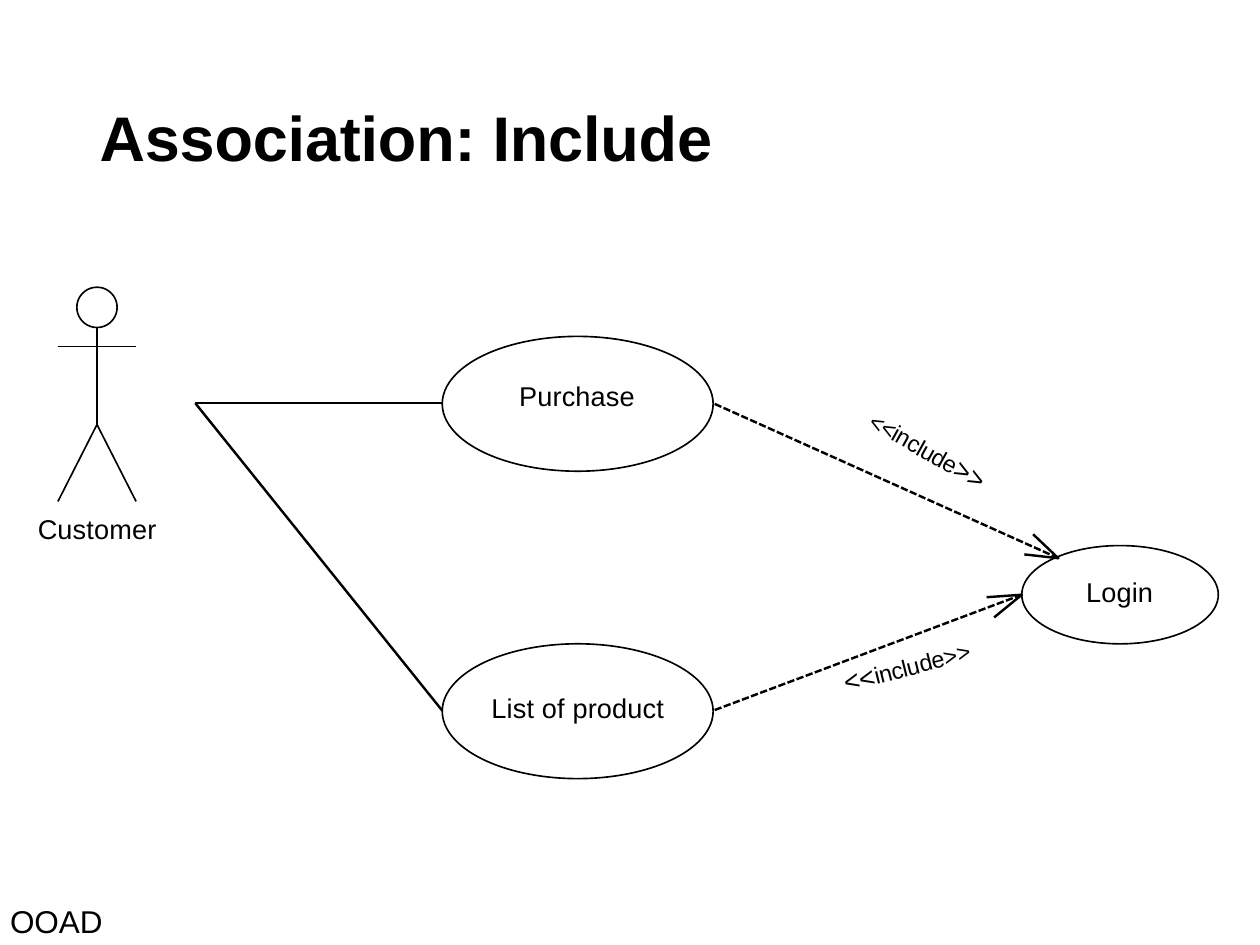
import math
import pptx
import pptx.util
import pptx.dml.color
import pptx.enum.dml
import pptx.enum.shapes
import pptx.enum.text
import pptx.oxml.ns
import lxml.etree

Inches, Pt = pptx.util.Inches, pptx.util.Pt

THEME = {
    "font": "Arial",
    "ink": pptx.dml.color.RGBColor(0, 0, 0),
    "paper": pptx.dml.color.RGBColor(255, 255, 255),
    "title": 36, "label": 15.5, "raised": 23.2, "footer": 18,
    "thin": 0.94, "thick": 1.4, "include_leading": 15.6,
}

TITLE = ("Association: Include", (0.79, 0.78, 4.92, 0.63))

LABELS = [
    ("Login", (8.62, 4.57, 0.56, 0.29), "label", 0.1),
    ("Customer", (0.3, 4.07, 0.97, 0.29), "label", 0.1),
    ("Purchase", (4.12, 3.01, 0.95, 0.29), "label", 0.1),
    ("List of product", (3.9, 5.49, 1.39, 0.29), "label", 0.1),
    ("OOAD", (0.08, 7.16, 0.77, 0.31), "footer", 0),
]

INCLUDES = [
    ((6.82, 3.55, 1.22, 0.22), 29,
     [("<<in", "raised", -0.4, 4), ("clude", "raised", -0.4, 2),
      (">>", "label", -0.2, 0)]),
    ((6.69, 5.2, 1.22, 0.22), 346,
     [("<<", "label", -0.2, 0), ("inclu", "raised", -0.3, 2),
      ("de>", "raised", -0.3, 4), (">", "raised", -0.3, 5)]),
]

PURCHASE = (3.51, 2.67, 2.15, 1.07)
PRODUCTS = (3.51, 5.11, 2.15, 1.07)
LOGIN = (8.11, 4.33, 1.56, 0.78)
OVALS = [PURCHASE, PRODUCTS, LOGIN]

ACTOR_PORT, LOGIN_TOP, LOGIN_LEFT = (1.55, 3.2), (8.4, 4.43), (8.11, 4.72)
HEAD_CENTER, HEAD_RADIUS, HEAD_STEPS = (0.77, 2.44), 0.16, 40
NECK, HIP = (0.77, 2.6), (0.77, 3.37)
BODY = [
    [(0.46, 2.75), (1.08, 2.75)],
    [HIP, (1.08, 3.98)],
    [NECK, HIP, (0.46, 3.98)],
]

LINES = [
    (ACTOR_PORT, (3.51, 3.2), False),
    (ACTOR_PORT, (3.51, 5.64), False),
    (LOGIN_TOP, (5.66, 3.2), True),
    (LOGIN_LEFT, (5.66, 5.64), True),
]

ARROWHEADS = [
    [(8.13, 4.4), LOGIN_TOP, (8.2, 4.24)],
    [(7.89, 4.9), LOGIN_LEFT, (7.83, 4.74)],
]


def outline(sp, weight):
    sp.line.color.rgb = THEME["ink"]
    sp.line.width = Pt(THEME[weight])


def frame(sp):
    tf = sp.text_frame
    tf.margin_left = tf.margin_top = tf.margin_right = tf.margin_bottom = 0
    tf.vertical_anchor = pptx.enum.text.MSO_ANCHOR.TOP
    tf.word_wrap = False
    p = tf.paragraphs[0]
    p.alignment = pptx.enum.text.PP_ALIGN.LEFT
    p.font.name = THEME["font"]
    p.font.color.rgb = THEME["ink"]
    return p


def add_run(p, text, size, spacing, raise_by=0):
    r = p.add_run()
    r.text = text
    r.font.size = Pt(THEME[size])
    r._r.get_or_add_rPr().set("spc", str(round(spacing * 100)))
    if raise_by:
        r._r.get_or_add_rPr().set("baseline", str(raise_by * 1000))


def add_title(slide, text, box):
    sp = slide.shapes.title
    sp.left, sp.top, sp.width, sp.height = map(Inches, box)
    p = frame(sp)
    p.font.bold = True
    add_run(p, text, "title", -0.1)


def add_label(slide, text, box, size, spacing):
    sp = slide.shapes.add_textbox(*map(Inches, box))
    add_run(frame(sp), text, size, spacing)


def add_include(slide, box, angle, runs):
    sp = slide.shapes.add_textbox(*map(Inches, box))
    sp.rotation = angle
    p = frame(sp)
    p.line_spacing = Pt(THEME["include_leading"])
    for run in runs:
        add_run(p, *run)


def add_oval(slide, box):
    sp = slide.shapes.add_shape(pptx.enum.shapes.MSO_SHAPE.OVAL, *map(Inches, box))
    sp.shadow.inherit = False
    sp.fill.background()
    outline(sp, "thin")


def add_line(slide, start, end, dashed):
    sp = slide.shapes.add_connector(
        pptx.enum.shapes.MSO_CONNECTOR.STRAIGHT, *map(Inches, start + end))
    outline(sp, "thick")
    if dashed:
        sp.line.dash_style = pptx.enum.dml.MSO_LINE.SQUARE_DOT
    lxml.etree.SubElement(sp._element.spPr, pptx.oxml.ns.qn("a:effectLst"))


def add_strokes(slide, strokes, weight):
    paths = [[(Inches(x), Inches(y)) for x, y in stroke] for stroke in strokes]
    builder = slide.shapes.build_freeform(*paths[0][0])
    for i, points in enumerate(paths):
        if i:
            builder.move_to(*points[0])
        builder.add_line_segments(points[1:], close=False)
    sp = builder.convert_to_shape()
    sp.shadow.inherit = False
    sp.fill.background()
    outline(sp, weight)


def head_stroke():
    x, y = HEAD_CENTER
    angles = [2 * math.pi * i / HEAD_STEPS for i in range(HEAD_STEPS + 1)]
    return [(x + HEAD_RADIUS * math.cos(a), y + HEAD_RADIUS * math.sin(a))
            for a in angles]


def main():
    prs = pptx.Presentation()
    prs.slide_width, prs.slide_height = Inches(10), Inches(7.5)
    slide = prs.slides.add_slide(prs.slide_layouts[5])
    slide.background.fill.solid()
    slide.background.fill.fore_color.rgb = THEME["paper"]

    add_title(slide, *TITLE)
    for box in OVALS:
        add_oval(slide, box)
    add_strokes(slide, [head_stroke()] + BODY, "thin")
    for line in LINES:
        add_line(slide, *line)
    for points in ARROWHEADS:
        add_strokes(slide, [points], "thick")
    for label in LABELS:
        add_label(slide, *label)
    for include in INCLUDES:
        add_include(slide, *include)

    prs.save("out.pptx")


if __name__ == "__main__":
    main()
